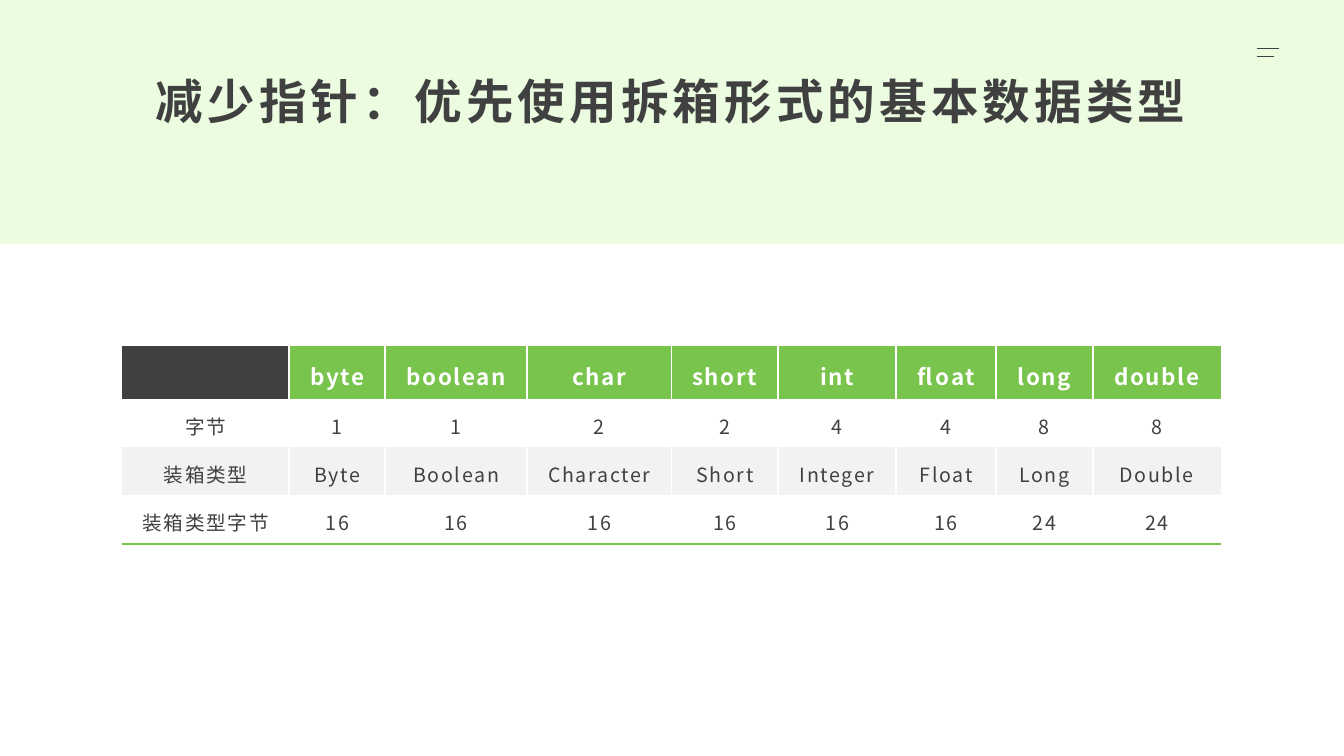
"""Build a slide comparing primitive types with their boxed forms."""
import pptx
import pptx.dml.color
import pptx.enum.shapes
import pptx.enum.text
import pptx.oxml
import pptx.oxml.ns
import pptx.util
from lxml import etree

Inches = pptx.util.Inches
Pt = pptx.util.Pt
RGBColor = pptx.dml.color.RGBColor
qn = pptx.oxml.ns.qn

TITLE = "减少指针：优先使用拆箱形式的基本数据类型"
ROWS = [
    ["", "byte", "boolean", "char", "short", "int", "float", "long", "double"],
    ["字节", "1", "1", "2", "2", "4", "4", "8", "8"],
    ["装箱类型", "Byte", "Boolean", "Character", "Short", "Integer", "Float", "Long", "Double"],
    ["装箱类型字节", "16", "16", "16", "16", "16", "16", "24", "24"],
]
COLUMN_WIDTHS = [1.66, 0.95, 1.41, 1.43, 1.06, 1.17, 0.99, 0.96, 1.27]
ROW_HEIGHTS = [0.47, 0.43, 0.43, 0.43]
MENU_LINES = [(0.48, 0.22), (0.56, 0.17)]
MENU_LEFT = 12.47

FONT = "Noto Sans CJK SC"
DARK = RGBColor(0x40, 0x40, 0x40)
GREEN = RGBColor(0x79, 0xC4, 0x4C)
PALE_GREEN = RGBColor(0xEB, 0xFC, 0xE1)
GRAY = RGBColor(0xF2, 0xF2, 0xF2)
WHITE = RGBColor(0xFF, 0xFF, 0xFF)
ROW_FILLS = [GREEN, WHITE, GRAY, WHITE]


def style_paragraph(paragraph, size, color, bold, spacing):
    paragraph.alignment = pptx.enum.text.PP_ALIGN.CENTER
    font = paragraph.font
    font.name, font.size, font.bold = FONT, Pt(size), bold
    font.color.rgb = color
    for run in paragraph.runs:
        properties = run._r.get_or_add_rPr()
        properties.set("spc", str(round(spacing * 100)))
        east_asian = etree.SubElement(properties, qn("a:ea"))
        east_asian.set("typeface", FONT)


def set_borders(cell, colors):
    properties = cell._tc.get_or_add_tcPr()
    for position, side in enumerate(("L", "R", "T", "B")):
        border = etree.Element(qn("a:ln" + side), w=str(Pt(1.5)))
        if side in colors:
            fill = etree.SubElement(border, qn("a:solidFill"))
            etree.SubElement(fill, qn("a:srgbClr"), val=str(colors[side]))
        else:
            etree.SubElement(border, qn("a:noFill"))
        properties.insert(position, border)


def add_band(slide):
    band = slide.shapes.add_shape(
        pptx.enum.shapes.MSO_SHAPE.RECTANGLE,
        Inches(0), Inches(-0.01), Inches(13.33), Inches(2.43))
    band.shadow.inherit = False
    band.fill.solid()
    band.fill.fore_color.rgb = PALE_GREEN
    band.line.fill.background()


def add_type_table(slide):
    table = slide.shapes.add_table(
        len(ROWS), len(COLUMN_WIDTHS), Inches(1.21), Inches(3.43),
        Inches(sum(COLUMN_WIDTHS)), Inches(sum(ROW_HEIGHTS))).table
    table.horz_banding = False
    for column, width in zip(table.columns, COLUMN_WIDTHS):
        column.width = Inches(width)
    for row, height in zip(table.rows, ROW_HEIGHTS):
        row.height = Inches(height)
    last_row, last_column = len(ROWS) - 1, len(COLUMN_WIDTHS) - 1
    for row_index, texts in enumerate(ROWS):
        header = row_index == 0
        for column_index, text in enumerate(texts):
            cell = table.cell(row_index, column_index)
            cell.margin_left = cell.margin_right = Inches(0.19)
            cell.margin_top = cell.margin_bottom = Inches(0.07)
            cell.vertical_anchor = pptx.enum.text.MSO_ANCHOR.MIDDLE
            cell.fill.solid()
            cell.fill.fore_color.rgb = ROW_FILLS[row_index] if text else DARK
            borders = {}
            if column_index > 0:
                borders["L"] = WHITE
            if column_index < last_column:
                borders["R"] = WHITE
            if row_index == last_row:
                borders["B"] = GREEN
            set_borders(cell, borders)
            paragraph = cell.text_frame.paragraphs[0]
            if text:
                paragraph.text = text
            paragraph.line_spacing = 1.2
            style_paragraph(paragraph, 16 if header else 14,
                            WHITE if header else DARK, header, 1.2)


def add_title(slide):
    frame = slide.shapes.add_textbox(
        Inches(0.66), Inches(0.67), Inches(12), Inches(0.69)).text_frame
    frame.word_wrap = True
    frame.margin_left = frame.margin_right = Inches(0.08)
    frame.margin_top = frame.margin_bottom = Inches(0.04)
    paragraph = frame.paragraphs[0]
    paragraph.text = TITLE
    paragraph.space_after = Pt(8)
    style_paragraph(paragraph, 34, DARK, True, 3)


def add_menu_icon(slide):
    for top, length in MENU_LINES:
        line = slide.shapes.add_connector(
            pptx.enum.shapes.MSO_CONNECTOR.STRAIGHT,
            Inches(MENU_LEFT), Inches(top), Inches(MENU_LEFT + length), Inches(top))
        line.line.color.rgb = DARK
        line.line.width = Pt(1)
        etree.SubElement(line._element.spPr, qn("a:effectLst"))


def main():
    presentation = pptx.Presentation()
    presentation.slide_width = Inches(13.33)
    presentation.slide_height = Inches(7.5)
    slide = presentation.slides.add_slide(presentation.slide_layouts[6])
    add_band(slide)
    add_type_table(slide)
    add_title(slide)
    add_menu_icon(slide)
    presentation.save("out.pptx")


if __name__ == "__main__":
    main()
